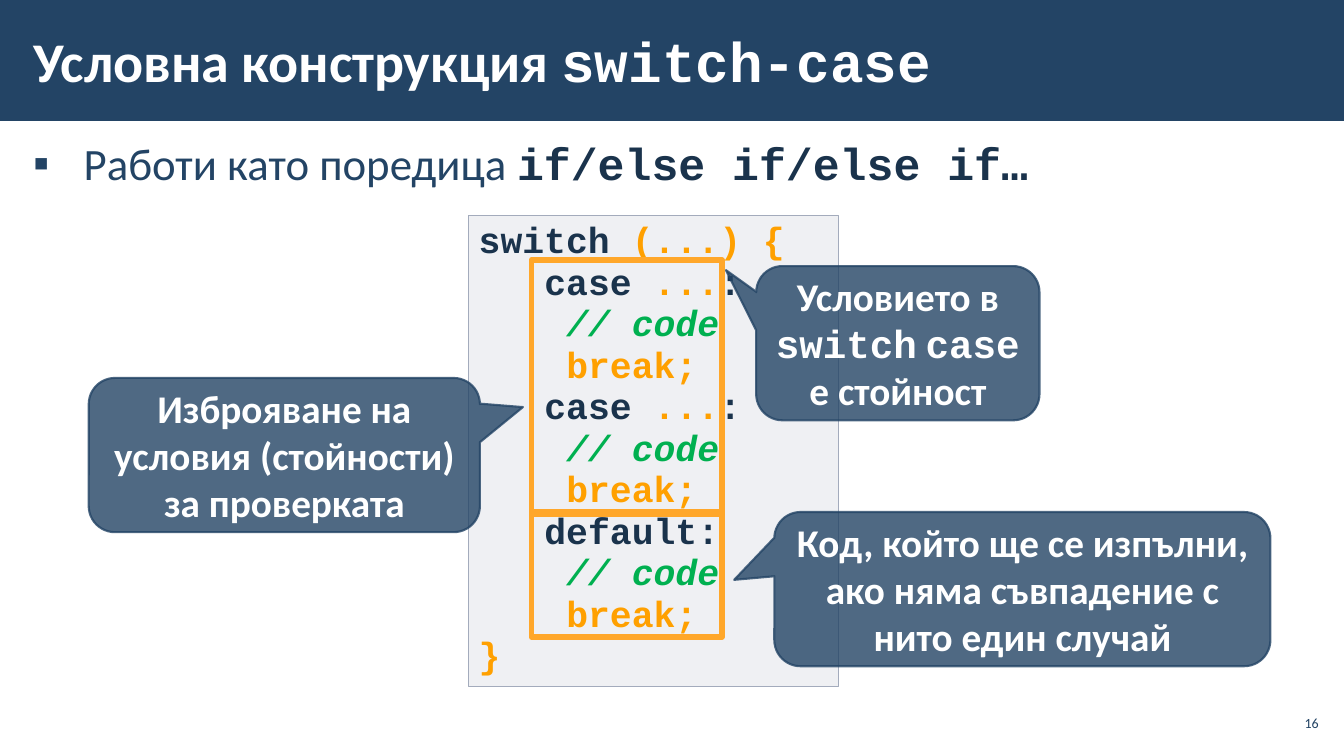
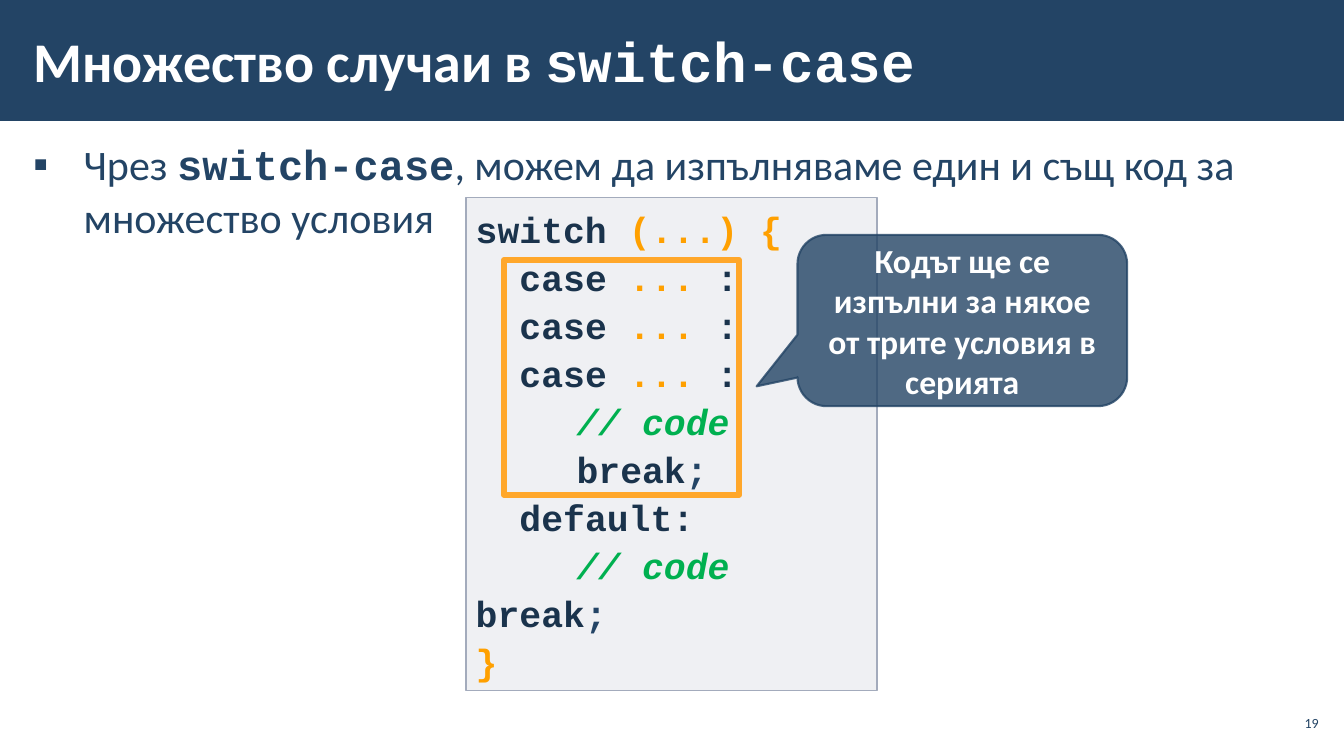
from lxml import etree
from pptx import Presentation
from pptx.dml.color import RGBColor
from pptx.enum.shapes import MSO_SHAPE
from pptx.enum.text import MSO_ANCHOR, PP_ALIGN
from pptx.oxml.ns import qn
from pptx.util import Inches, Pt

RECT = MSO_SHAPE.RECTANGLE
CALLOUT = MSO_SHAPE.ROUNDED_RECTANGULAR_CALLOUT
TOP, MIDDLE = MSO_ANCHOR.TOP, MSO_ANCHOR.MIDDLE
LEFT, CENTER, RIGHT = PP_ALIGN.LEFT, PP_ALIGN.CENTER, PP_ALIGN.RIGHT

COLORS = {
    "navy": "234465",
    "dark": "1A334C",
    "white": "FFFFFF",
    "amber": "FFA000",
    "green": "00B050",
    "frame": "FFA72A",
    "panel": "C2C7D2",
    "edge": "A3ABBC",
}
SANS, MONO = "Calibri", "Courier New"
FONTS = {
    "plain": {"name": SANS, "bold": False},
    "strong": {"name": SANS, "bold": True},
    "mono": {"name": MONO, "bold": True},
    "note": {"name": MONO, "bold": True, "italic": True},
}
WIDTH, HEIGHT = 13.33, 7.5
INSETS = (0.12, 0.04, 0.12, 0.04)
CHAR = 0.217


def color(name):
    return RGBColor.from_string(COLORS[name])


def assign(target, values):
    for key, value in values.items():
        setattr(target, key, value)


def fade(part, percent):
    for tint in part.iter(qn("a:srgbClr")):
        alpha = etree.SubElement(tint, qn("a:alpha"))
        alpha.set("val", str(percent * 1000))


def write(para, runs, size, **values):
    assign(para, values)
    for text, font, tone in runs:
        run = para.add_run()
        run.text = text
        assign(run.font, {"size": Pt(size), **FONTS[font]})
        run.font.color.rgb = color(tone)


def set_frame(shape, anchor, insets=(0.1, 0.05, 0.1, 0.05)):
    frame = shape.text_frame
    sides = ("margin_left", "margin_top", "margin_right", "margin_bottom")
    margins = {side: Inches(inset) for side, inset in zip(sides, insets)}
    assign(frame, {"word_wrap": True, "vertical_anchor": anchor, **margins})
    return frame


def indent(para, left, first=0):
    props = para._p.get_or_add_pPr()
    props.set("marL", str(Inches(left)))
    props.set("indent", str(Inches(first)))
    return props


def add_text(slide, box, runs, size, anchor=TOP, insets=INSETS, **values):
    shape = slide.shapes.add_textbox(*map(Inches, box))
    para = set_frame(shape, anchor, insets).paragraphs[0]
    write(para, runs, size, **values)
    return para


def add_box(slide, box, kind=RECT, fill=None, line=None, width=1, alpha=None):
    shape = slide.shapes.add_shape(kind, *map(Inches, box))
    shape.shadow.inherit = False
    if fill:
        shape.fill.solid()
        shape.fill.fore_color.rgb = color(fill)
        if alpha:
            fade(shape.fill._xPr.find(qn("a:solidFill")), alpha)
    else:
        shape.fill.background()
    if line:
        shape.line.color.rgb = color(line)
        shape.line.width = Pt(width)
    else:
        shape.line.fill.background()
    return shape


def add_base(deck, title, number):
    slide = deck.slides.add_slide(deck.slide_layouts[6])
    add_box(slide, (0, 0, WIDTH, 1.2), fill="navy")
    runs = [(title, "strong", "white"), ("switch-case", "mono", "white")]
    add_text(slide, (0.21, 0.11, 10.39, 0.97), runs, 40, MIDDLE)
    add_text(slide, (12.65, 7, 0.47, 0.34), [(number, "plain", "navy")], 10,
             MIDDLE, (0.04,) * 4, alignment=RIGHT)
    return slide


def add_point(slide, runs, size, space=1.0):
    para = add_text(slide, (0.21, 1.31, 12.92, 5.69), runs, size,
                    line_spacing=space, space_before=Pt(6), space_after=Pt(6))
    props = indent(para, 0.5, -0.5)
    for tag, key, value in (("a:buFont", "typeface", SANS),
                            ("a:buChar", "char", "▪")):
        etree.SubElement(props, qn(tag)).set(key, value)


def add_code(slide, box, lines, space):
    panel = add_box(slide, box, fill="panel", line="edge", alpha=25)
    frame = set_frame(panel, TOP)
    for place, (left, runs) in enumerate(lines):
        para = frame.add_paragraph() if place else frame.paragraphs[0]
        write(para, runs, 26, alignment=LEFT, line_spacing=space)
        indent(para, left)


def add_callout(slide, box, tip, runs, size=28):
    shape = add_box(slide, box, CALLOUT, "navy", "navy", 1.5, 80)
    fade(shape.line.fill._xPr.find(qn("a:solidFill")), 80)
    for place, value in enumerate((*tip, 0.17)):
        shape.adjustments[place] = value
    para = set_frame(shape, MIDDLE).paragraphs[0]
    write(para, runs, size, alignment=CENTER)


def dark(text):
    return text, "mono", "dark"


def amber(text):
    return text, "mono", "amber"


def bold(text):
    return text, "strong", "white"


def term(text):
    return text, "mono", "white"


OPEN = (0, [dark("switch "), amber("(...) {")])
CLOSE = (0, [amber("}")])
NOTE = [("// code", "note", "green")]


def build_switch(deck):
    slide = add_base(deck, "Условна конструкция ", "16")
    add_point(slide, [("Работи като поредица ", "plain", "navy"),
                      dark("if/else if/else if…")], 32)
    outer, inner = 3 * CHAR, 4 * CHAR
    body = [(inner, NOTE), (inner, [amber("break;")])]
    case = [(outer, [dark("case"), amber(" ..."), dark(":")]), *body]
    rest = [(outer, [dark("default:")]), *body]
    add_code(slide, (4.65, 2.14, 3.67, 4.67),
             [OPEN, *case, *case, *rest, CLOSE], 0.95)
    add_callout(slide, (7.5, 2.64, 2.81, 1.53), (-0.607, -0.474),
                [bold("Условието в "), term("switch"), bold(" "),
                 term("case"), bold(" е стойност")])
    add_callout(slide, (0.88, 3.75, 3.88, 1.53), (0.61, -0.311),
                [bold("Изброяване на условия (стойности) за проверката")])
    add_callout(slide, (7.68, 5.08, 4.92, 1.53), (-0.581, -0.06),
                [bold("Код, който ще се изпълни, ако няма съвпадение "
                      "с нито един случай")])
    for top, height in ((2.58, 2.52), (5.08, 1.24)):
        add_box(slide, (5.27, top, 1.89, height), line="frame", width=4)


def build_cases(deck):
    slide = add_base(deck, "Множество случаи в ", "19")
    add_point(slide, [("Чрез ", "plain", "navy"),
                      ("switch-case", "mono", "navy"),
                      (", можем да изпълняваме един и същ код за "
                       "множество условия", "plain", "navy")], 30, 1.05)
    outer, inner = 2 * CHAR, 1
    case = (outer, [dark("case "), amber("... "), dark(":")])
    stop = [dark("break"), (";", "mono", "navy")]
    add_code(slide, (4.62, 1.96, 4.08, 4.89),
             [OPEN, *[case] * 3, (inner, NOTE), (inner, stop),
              (outer, [dark("default:")]), (inner, NOTE), (0, stop), CLOSE],
             1.1)
    add_box(slide, (5, 2.58, 2.33, 2.33), line="frame", width=4.5)
    add_callout(slide, (7.91, 2.33, 3.27, 1.7), (-0.624, 0.384),
                [bold("Кодът ще се изпълни за някое от трите условия "
                      "в серията")], 24)


def main():
    deck = Presentation()
    assign(deck, {"slide_width": Inches(WIDTH), "slide_height": Inches(HEIGHT)})
    for build in (build_switch, build_cases):
        build(deck)
    deck.save("out.pptx")


if __name__ == "__main__":
    main()
